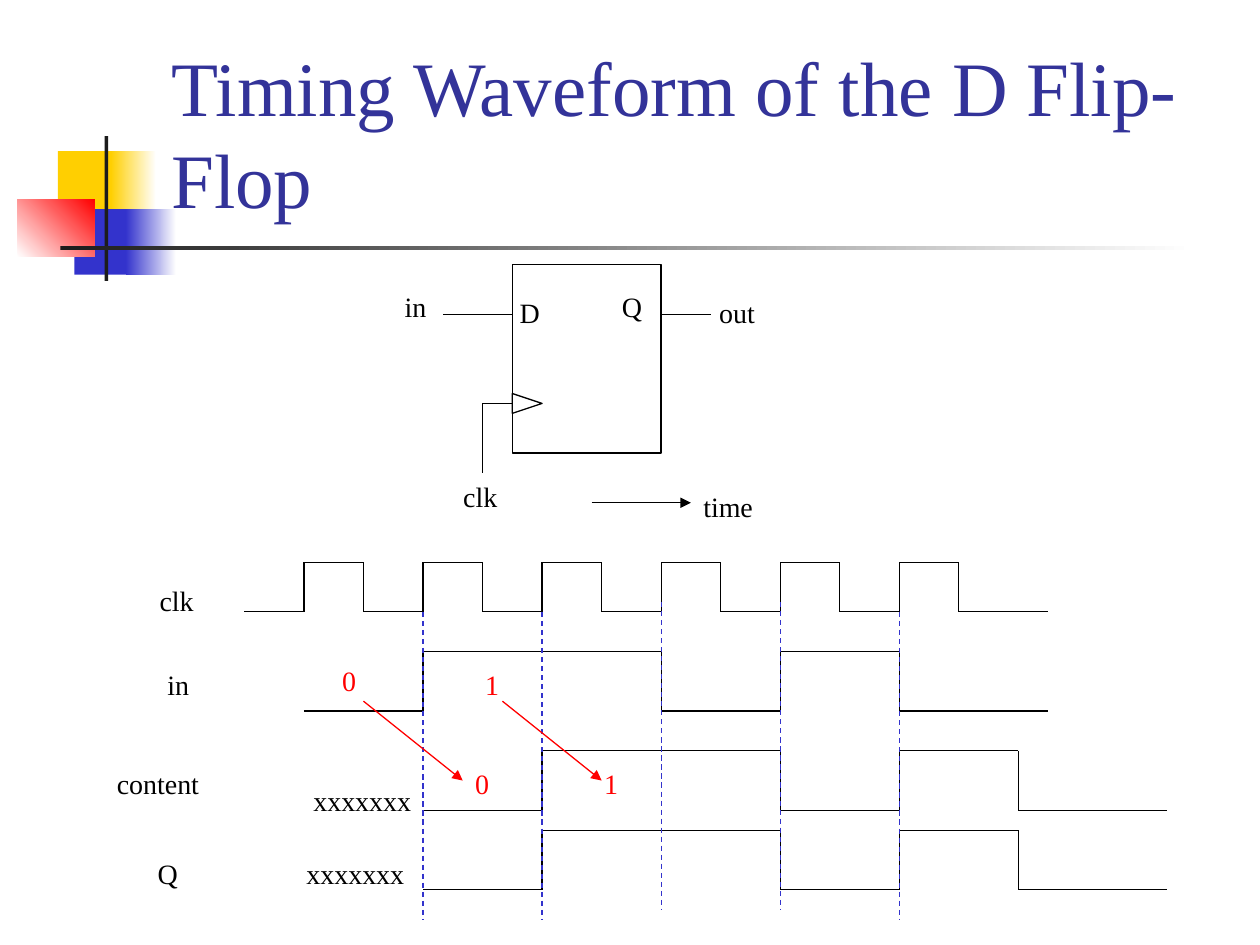
from lxml import etree
from pptx import Presentation
from pptx.dml.color import RGBColor
from pptx.enum.dml import MSO_LINE
from pptx.enum.shapes import MSO_CONNECTOR, MSO_SHAPE
from pptx.enum.text import MSO_ANCHOR, MSO_AUTO_SIZE, PP_ALIGN
from pptx.oxml.ns import qn
from pptx.util import Inches, Pt

BLACK = RGBColor(0x00, 0x00, 0x00)
WHITE = RGBColor(0xFF, 0xFF, 0xFF)
RED = RGBColor(0xFF, 0x00, 0x00)
YELLOW = RGBColor(0xFF, 0xCF, 0x01)
BLUE = RGBColor(0x33, 0x33, 0xCC)
NAVY = RGBColor(0x33, 0x33, 0x99)
CHARCOAL = RGBColor(0x1C, 0x1C, 0x1C)

RECTANGLE, TRIANGLE = MSO_SHAPE.RECTANGLE, MSO_SHAPE.ISOSCELES_TRIANGLE
STRAIGHT, DASH = MSO_CONNECTOR.STRAIGHT, MSO_LINE.DASH
LEFT, BOTTOM = PP_ALIGN.LEFT, MSO_ANCHOR.BOTTOM
FIXED, GROW = MSO_AUTO_SIZE.NONE, MSO_AUTO_SIZE.SHAPE_TO_FIT_TEXT

WIDTH, HEIGHT = 10, 7.5
CELL, GRID_LEFT, GRID_TOP = 0.63 / 8, 1.94, 2.1
HALF_CLOCK = 6
LABEL_HEIGHT = 4.7
LINE_WIDTH = Pt(0.75)
FONT = "Times New Roman"

ORNAMENTS = [
    (4.6, 16, 4.8, 6.93, YELLOW, None, 0),
    (8.8, 16, 3.6, 6.93, YELLOW, WHITE, 0),
    (5.9, 22.13, 4.6, 6.93, BLUE, None, 0),
    (10, 22.13, 4, 6.93, BLUE, WHITE, 0),
    (1.4, 21.07, 6.1, 6.13, WHITE, RED, 45),
    (8.3, 14.4, 0.3, 15.33, CHARCOAL, None, 0),
    (4.8, 26, 90, 0.45, CHARCOAL, WHITE, 0),
]
LABELS = [
    ("D", 26.5, 2.5, 4.6, BLACK),
    ("Q", 36.8, 1.9, 4.6, BLACK),
    ("in", 14.9, 1.9, 4.8, BLACK),
    ("out", 46.6, 2.5, 6.2, BLACK),
    ("clk", 20.8, 21, 6, BLACK),
    ("time", 45, 22, 7.6, BLACK),
    ("clk", -9.8, 31.5, 6, BLACK),
    ("in", -9, 40, 4.8, BLACK),
    ("content", -14.1, 50, 10.9, BLACK),
    ("Q", -10, 59, 4.6, BLACK),
    ("xxxxxxx", 5.7, 51.7, 12.4, BLACK),
    ("xxxxxxx", 5, 59, 12.4, BLACK),
    ("0", 8.6, 39.6, 3.9, RED),
    ("0", 22, 50, 3.9, RED),
    ("1", 23, 40, 3.9, RED),
    ("1", 35, 50, 3.9, RED),
]
WAVES = [
    (35, 30, 0, range(1, 13), 13.5),
    (45, 39, 1, (3, 7, 9, 11), 13.5),
    (55, 49, 3, (5, 9, 11, 13), 15.5),
    (63, 57, 3, (5, 9, 11, 13), 15.5),
]
WIRES = [
    [(42, 5), (47, 5)],
    [(27, 5), (20, 5)],
    [(27, 14), (24, 14), (24, 21)],
]
ARROWS = [
    ((35, 24), (45, 24), BLACK),
    ((12, 44), (22, 52), RED),
    ((26, 44), (36, 52), RED),
]
SAMPLE_TIMES = [(3, 35), (5, 35), (7, 34), (9, 34), (11, 35)]
SAMPLE_LENGTH = 31


def set_all(target, values):
    """Set every named attribute of the target."""
    for name, value in values.items():
        setattr(target, name, value)


def share(left, top, width, height):
    """Turn percentages of the slide into lengths."""
    sides = (WIDTH, HEIGHT, WIDTH, HEIGHT)
    return [Inches(part * side / 100)
            for part, side in zip((left, top, width, height), sides)]


def spot(column, row):
    """Return the position of a grid point."""
    return Inches(GRID_LEFT + column * CELL), Inches(GRID_TOP + row * CELL)


def cells(count):
    """Return the length of a number of grid cells."""
    return Inches(count * CELL)


def write(frame, text, size, color, values):
    """Write one formatted line of text into a frame."""
    set_all(frame, values)
    para = frame.paragraphs[0]
    para.alignment = LEFT
    span = para.add_run()
    span.text = text
    set_all(span.font, {"name": FONT, "size": Pt(size), "bold": False})
    span.font.color.rgb = color


def add_title(page, text):
    """Place and fill the title."""
    title = page.shapes.title
    set_all(title, dict(zip(("left", "top", "width", "height"),
                            share(12.6, 3.07, 85.2, 21.33))))
    write(title.text_frame, text, 44, NAVY,
          {"vertical_anchor": BOTTOM, "auto_size": FIXED, "word_wrap": True})


def add_ornament(page, left, top, width, height, color, fade, angle):
    """Add a plain or fading decorative bar."""
    bar = page.shapes.add_shape(RECTANGLE, *share(left, top, width, height))
    bar.shadow.inherit = False
    bar.line.fill.background()
    if fade is None:
        bar.fill.solid()
        bar.fill.fore_color.rgb = color
        return
    bar.fill.gradient()
    bar.fill.gradient_angle = angle
    for stop, shade in zip(bar.fill.gradient_stops, (color, fade)):
        stop.color.rgb = shade


def add_outline(page, kind, column, row, width, height, rotation=0):
    """Add an unfilled shape on the grid."""
    outline = page.shapes.add_shape(
        kind, *spot(column, row), cells(width), cells(height))
    outline.shadow.inherit = False
    outline.rotation = rotation
    outline.fill.background()
    outline.line.color.rgb = BLACK
    outline.line.width = LINE_WIDTH


def add_label(page, text, column, row, width, color):
    """Add a short label on the grid."""
    box = page.shapes.add_textbox(
        *spot(column, row), cells(width), cells(LABEL_HEIGHT))
    write(box.text_frame, text, 16, color,
          {"word_wrap": False, "auto_size": GROW})


def add_line(page, start, end, color=BLACK, dash=None, arrow=False):
    """Add a straight line between two grid points."""
    line = page.shapes.add_connector(STRAIGHT, *spot(*start), *spot(*end))
    line.line.color.rgb = color
    set_all(line.line, {"width": LINE_WIDTH, "dash_style": dash})
    properties = line._element.spPr
    if arrow:
        etree.SubElement(properties.find(qn("a:ln")), qn("a:tailEnd"),
                         type="triangle")
    etree.SubElement(properties, qn("a:effectLst"))


def add_path(page, points):
    """Join successive grid points with lines."""
    for start, end in zip(points, points[1:]):
        add_line(page, start, end)


def add_wave(page, low, high, start, edges, end):
    """Add a square wave that starts low and flips at each edge."""
    points = [(start * HALF_CLOCK, low)]
    level, other = low, high
    for edge in edges:
        points += [(edge * HALF_CLOCK, level), (edge * HALF_CLOCK, other)]
        level, other = other, level
    add_path(page, points + [(end * HALF_CLOCK, level)])


def main():
    """Build the timing slide."""
    deck = Presentation()
    set_all(deck, {"slide_width": Inches(WIDTH),
                   "slide_height": Inches(HEIGHT)})
    page = deck.slides.add_slide(deck.slide_layouts[5])
    for ornament in ORNAMENTS:
        add_ornament(page, *ornament)
    add_title(page, "Timing Waveform of the D Flip-Flop")
    add_outline(page, RECTANGLE, 27, 0, 15, 19)
    add_outline(page, TRIANGLE, 27.5, 12.5, 2, 3, rotation=90)
    for wire in WIRES:
        add_path(page, wire)
    for wave in WAVES:
        add_wave(page, *wave)
    for edge, row in SAMPLE_TIMES:
        column = edge * HALF_CLOCK
        add_line(page, (column, row), (column, row + SAMPLE_LENGTH),
                 BLUE, DASH)
    for start, end, color in ARROWS:
        add_line(page, start, end, color, arrow=True)
    for label in LABELS:
        add_label(page, *label)
    deck.save("out.pptx")


main()
